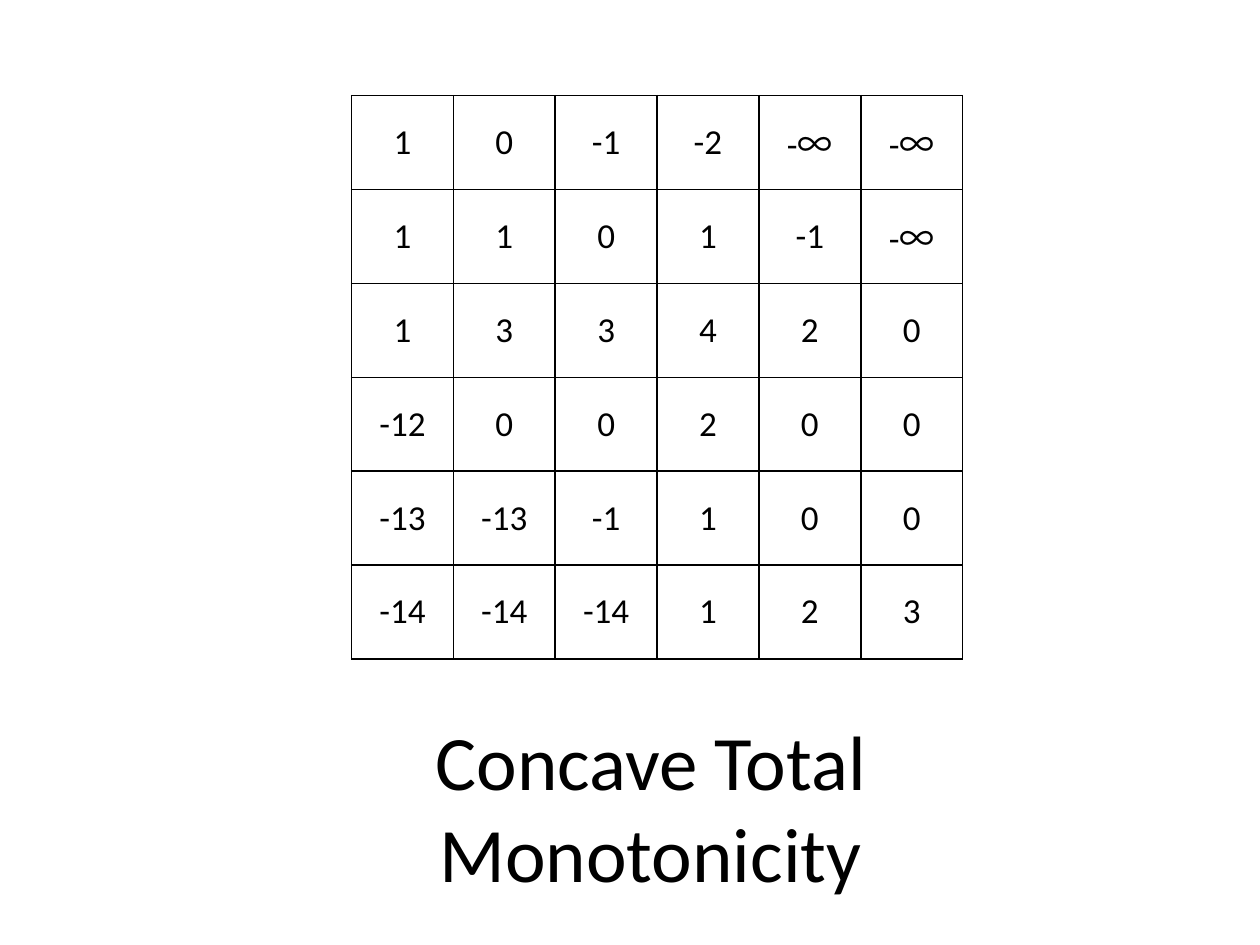
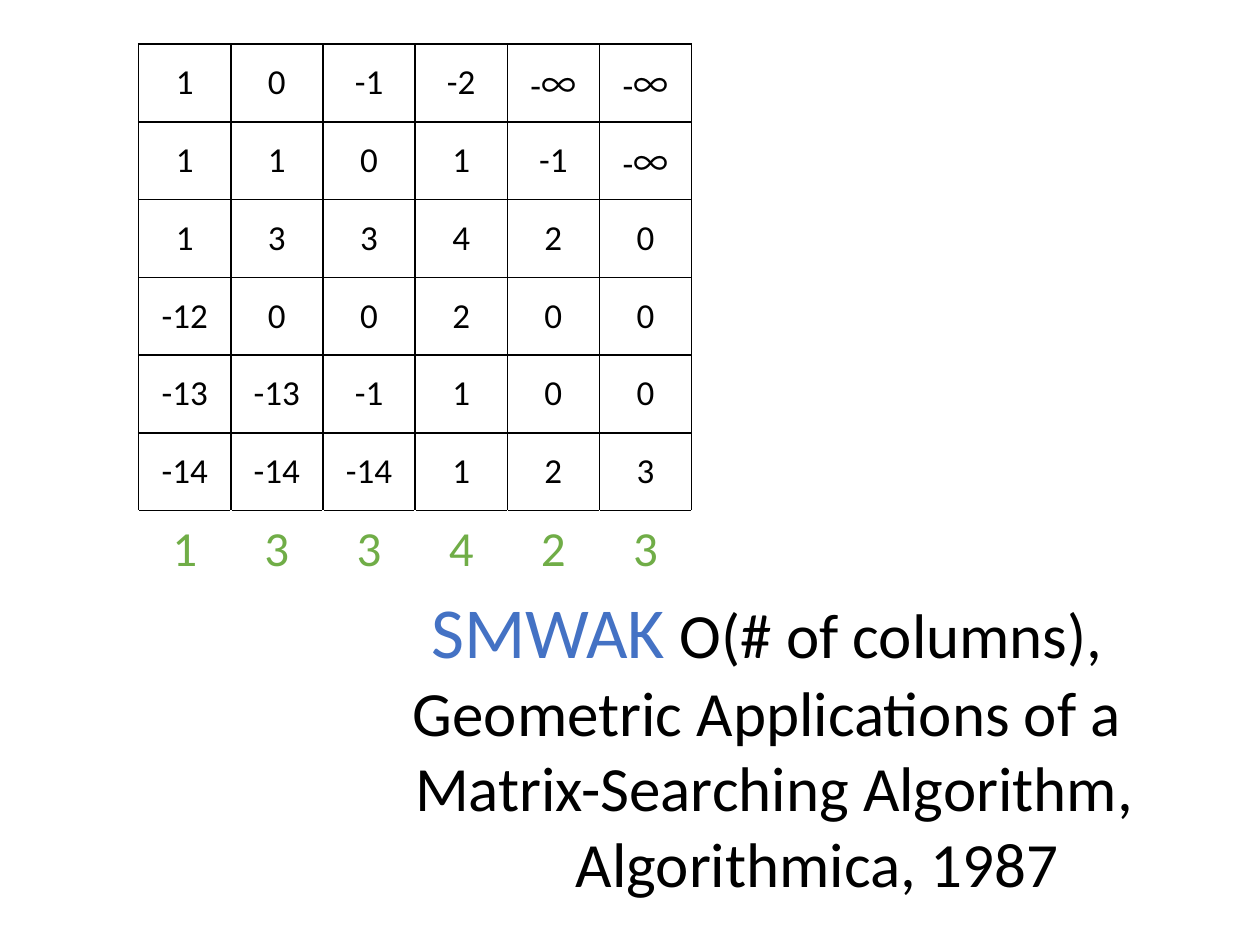
from dataclasses import dataclass
from itertools import groupby

from lxml import etree
from pptx import Presentation
from pptx.dml.color import RGBColor
from pptx.enum.text import MSO_ANCHOR, MSO_AUTO_SIZE, PP_ALIGN
from pptx.oxml.ns import qn
from pptx.util import Inches, Pt

CENTER = PP_ALIGN.CENTER
TOP, MIDDLE = MSO_ANCHOR.TOP, MSO_ANCHOR.MIDDLE
GROW = MSO_AUTO_SIZE.SHAPE_TO_FIT_TEXT
TITLE_ONLY, BLANK = 5, 6


@dataclass(frozen=True)
class Theme:
    ink: str = "000000"
    paper: str = "FFFFFF"
    maximum: str = "70AD47"
    accent: str = "4472C4"
    font: str = "Calibri"
    symbol_font: str = "Noto Sans CJK TC"
    entry_size: int = 20
    maximum_size: int = 28
    citation_size: int = 36
    algorithm_size: int = 41
    title_size: int = 44


THEME = Theme()

MATRIX = [
    ["1", "0", "-1", "-2", "-∞", "-∞"],
    ["1", "1", "0", "1", "-1", "-∞"],
    ["1", "3", "3", "4", "2", "0"],
    ["-12", "0", "0", "2", "0", "0"],
    ["-13", "-13", "-1", "1", "0", "0"],
    ["-14", "-14", "-14", "1", "2", "3"],
]
COLUMN_MAXIMA = ["1", "3", "3", "4", "2", "3"]
PROPERTY = "Concave Total Monotonicity"
ALGORITHM = "SMWAK"
CITATION = [
    " O(# of columns), ",
    "Geometric Applications of a ",
    "Matrix-Searching Algorithm,",
    "Algorithmica, 1987",
]
JOURNAL_INDENT = 0.68

PROPERTY_MATRIX_BOX = (2.79, 0.76, 4.85, 4.47)
PROPERTY_BOX = (1.62, 5.61, 7.09, 0.84)
SEARCH_MATRIX_BOX = (1.1, 0.35, 4.39, 4.32)
CITATION_BOX = (2.29, 4.61, 7.71, 2.66)


def write(paragraph, text, *, size, color=THEME.ink, indent=0):
    paragraph.alignment = CENTER
    if indent:
        properties = paragraph._p.get_or_add_pPr()
        properties.set("marL", str(Inches(indent)))
        properties.set("indent", "0")
    for is_symbol, letters in groupby(text, lambda letter: letter == "∞"):
        run = paragraph.add_run()
        run.text = "".join(letters)
        run.font.size = Pt(size)
        run.font.color.rgb = RGBColor.from_string(color)
        run.font.name = THEME.symbol_font if is_symbol else THEME.font
        if is_symbol:
            east_asian = etree.SubElement(run._r.get_or_add_rPr(), qn("a:ea"))
            east_asian.set("typeface", THEME.symbol_font)


def set_borders(cell, sides):
    properties = cell._tc.get_or_add_tcPr()
    for side in "LRTB":
        line = etree.SubElement(properties, qn(f"a:ln{side}"), w=str(Pt(1)))
        fill = etree.SubElement(line, qn("a:solidFill"))
        etree.SubElement(fill, qn("a:srgbClr"), val=sides[side])


def add_matrix(slide, box, maxima=None):
    rows = MATRIX + ([maxima] if maxima else [])
    left, top, width, height = box
    table = slide.shapes.add_table(
        len(rows), len(rows[0]), *map(Inches, box)).table
    table.first_row = table.horz_banding = False
    for column in table.columns:
        column.width = Inches(width / len(rows[0]))
    for r, entries in enumerate(rows):
        table.rows[r].height = Inches(height / len(rows))
        is_maxima = r == len(MATRIX)
        sides = dict.fromkeys("LRTB", THEME.paper if is_maxima else THEME.ink)
        sides["T"] = THEME.ink
        for c, entry in enumerate(entries):
            cell = table.cell(r, c)
            cell.vertical_anchor = MIDDLE
            set_borders(cell, sides)
            cell.fill.background()
            write(cell.text_frame.paragraphs[0], entry,
                  size=THEME.maximum_size if is_maxima else THEME.entry_size,
                  color=THEME.maximum if is_maxima else THEME.ink)


def prepare_frame(frame):
    frame.word_wrap = True
    frame.auto_size = GROW
    frame.vertical_anchor = TOP


def build_property_slide(deck):
    slide = deck.slides.add_slide(deck.slide_layouts[TITLE_ONLY])
    add_matrix(slide, PROPERTY_MATRIX_BOX)
    title = slide.shapes.title
    title.left, title.top, title.width, title.height = map(Inches, PROPERTY_BOX)
    frame = title.text_frame
    prepare_frame(frame)
    frame.margin_left = frame.margin_right = Inches(0.2)
    write(frame.paragraphs[0], PROPERTY, size=THEME.title_size)


def build_search_slide(deck):
    slide = deck.slides.add_slide(deck.slide_layouts[BLANK])
    add_matrix(slide, SEARCH_MATRIX_BOX, COLUMN_MAXIMA)
    frame = slide.shapes.add_textbox(*map(Inches, CITATION_BOX)).text_frame
    prepare_frame(frame)
    complexity = frame.paragraphs[0]
    write(complexity, ALGORITHM, size=THEME.algorithm_size, color=THEME.accent)
    write(complexity, CITATION[0], size=THEME.citation_size)
    for line in CITATION[1:]:
        write(frame.add_paragraph(), line, size=THEME.citation_size,
              indent=JOURNAL_INDENT if line == CITATION[-1] else 0)


def main():
    deck = Presentation()
    deck.slide_width, deck.slide_height = Inches(10), Inches(7.5)
    build_property_slide(deck)
    build_search_slide(deck)
    deck.save("out.pptx")


if __name__ == "__main__":
    main()
